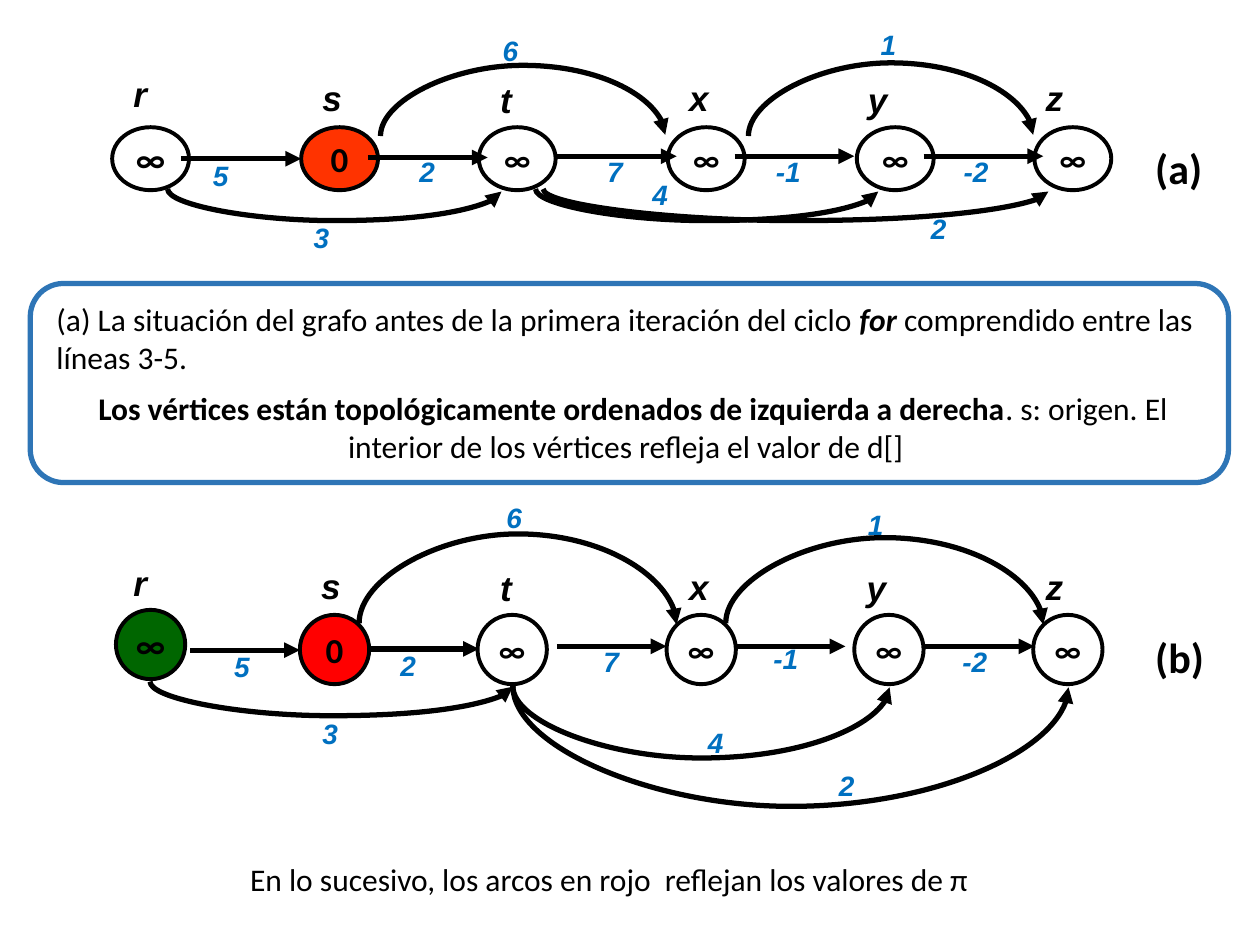
from pptx import Presentation
from pptx.dml.color import RGBColor
from pptx.enum.shapes import MSO_CONNECTOR, MSO_SHAPE
from pptx.enum.text import MSO_ANCHOR, PP_ALIGN
from pptx.oxml.ns import qn
from pptx.oxml.xmlchemy import OxmlElement
from pptx.util import Pt

LINE, CURVE = MSO_CONNECTOR.STRAIGHT, MSO_CONNECTOR.CURVE
OVAL, ROUND = MSO_SHAPE.OVAL, MSO_SHAPE.ROUNDED_RECTANGLE
MIDDLE = MSO_ANCHOR.MIDDLE
LEFT, CENTER = PP_ALIGN.LEFT, PP_ALIGN.CENTER

PX = 9144  # 100 px to the inch
THEME = {
    "ink": RGBColor(0, 0, 0),
    "cost": RGBColor(0x00, 0x70, 0xC0),
    "frame": RGBColor(0x2E, 0x75, 0xB6),
    "green": RGBColor(0x00, 0x66, 0x00),
    "orange": RGBColor(0xFF, 0x33, 0x00),
    "red": RGBColor(0xFF, 0, 0),
    "body": ("Calibri", 18),
    "node": ("Calibri", 20),
    "tag": ("Calibri", 24),
    "name": ("Arial", 20),
    "weight": ("Arial", 16),
}

deck = Presentation()
deck.slide_width, deck.slide_height = 1000 * PX, 750 * PX
slide = deck.slides.add_slide(deck.slide_layouts[6])
shapes = slide.shapes


def write(frame, runs, kind, color="ink", align=LEFT):
    """Fill the first paragraph with (text, style) runs; style holds b and/or i."""
    para = frame.paragraphs[0]
    para.alignment = align
    for text, style in runs:
        run = para.add_run()
        run.text = text
        font = run.font
        font.name, size = THEME[kind]
        font.size = Pt(size)
        font.color.rgb = THEME[color]
        font.bold, font.italic = "b" in style, "i" in style


def arrow(kind, x1, y1, x2, y2):
    link = shapes.add_connector(kind, *(int(n * PX) for n in (x1, y1, x2, y2)))
    link.line.color.rgb = THEME["ink"]
    link.line.width = Pt(3)
    tail = OxmlElement("a:tailEnd")
    tail.set("type", "triangle")
    link.line._get_or_add_ln().append(tail)
    link._element.spPr.append(OxmlElement("a:effectLst"))
    return link


# Frame and body texts
frame = shapes.add_shape(ROUND, 24 * PX, 225 * PX, 951 * PX, 158 * PX)
frame.shadow.inherit = False
frame.fill.background()
frame.line.color.rgb = THEME["frame"]
frame.line.width = Pt(3)

notes = [
    (35, 233, 956, LEFT, [
        ("(a) La situación del grafo antes de la primera iteración del ciclo ", ""),
        ("for", "bi"),
        (" comprendido entre las líneas 3-5.", "")]),
    (24, 304, 951, CENTER, [
        (" ", ""),
        ("Los vértices están topológicamente ordenados de izquierda a derecha", "b"),
        (". s: origen. El interior de los vértices refleja el valor de d[] ", "")]),
    (25, 678, 917, CENTER, [
        ("En lo sucesivo, los arcos en rojo  reflejan los valores de π", "")]),
]
for x, y, wide, align, runs in notes:
    box = shapes.add_textbox(x * PX, y * PX, wide * PX, 71 * PX)
    box.text_frame.word_wrap = True
    write(box.text_frame, runs, "body", align=align)

# Each graph: nodes (x, y), names (x, y), straight arrows (x, y),
# arcs (x1, y1, x2, y2, depth; up is negative), weights (text, x, y)
graphs = [
    {
        "tag": ("(a)", 907, 108), "size": (61, 50), "reach": 95,
        "fills": [None, "orange"],
        "nodes": [(89, 101), (239, 101), (380, 101),
                  (530, 101), (680, 101), (821, 101)],
        "names": [(96, 53), (246, 56), (387, 57),
                  (537, 56), (679, 57), (820, 56)],
        "steps": [(144, 126), (292, 125), (442, 124), (583, 124), (733, 124)],
        "arcs": [(302, 108, 528, 107, -57), (594, 108, 820, 107, -59),
                 (133, 150, 398, 152, 25), (425, 150, 697, 152, 25),
                 (431, 150, 832, 152, 25)],
        "weights": [("5", 159, 121), ("2", 323, 118), ("7", 472, 118),
                    ("-1", 606, 118), ("-2", 755, 118), ("3", 239, 170),
                    ("4", 508, 136), ("2", 729, 163), ("6", 389, 22),
                    ("1", 689, 17)],
    },
    {
        "tag": ("(b)", 907, 496), "size": (55, 55), "reach": 87,
        "fills": ["green", "red"],
        "nodes": [(92, 484), (238, 488), (379, 488),
                  (529, 488), (678, 488), (820, 488)],
        "names": [(96, 441), (245, 443), (387, 445),
                  (537, 444), (678, 445), (820, 444)],
        "steps": [(151, 516), (293, 515), (442, 513), (584, 513), (734, 513)],
        "arcs": [(285, 495, 537, 495, -72), (576, 495, 828, 495, -69),
                 (119, 541, 407, 545, 27), (407, 545, 706, 545, 58),
                 (407, 545, 848, 545, 97)],
        "weights": [("5", 176, 511), ("2", 308, 510), ("7", 469, 507),
                    ("-1", 604, 504), ("-2", 754, 507), ("3", 246, 564),
                    ("4", 552, 571), ("2", 656, 605), ("6", 392, 392),
                    ("1", 679, 398)],
    },
]

for graph in graphs:
    wide, high = graph["size"]
    for i, (x, y) in enumerate(graph["nodes"]):
        node = shapes.add_shape(OVAL, x * PX, y * PX, wide * PX, high * PX)
        node.shadow.inherit = False
        fill = graph["fills"][i] if i < 2 else None
        if fill:
            node.fill.solid()
            node.fill.fore_color.rgb = THEME[fill]
        else:
            node.fill.background()
        node.line.color.rgb = THEME["ink"]
        node.line.width = Pt(2.25)
        node.text_frame.word_wrap = False
        node.text_frame.vertical_anchor = MIDDLE
        value = "0" if i == 1 else "∞"
        write(node.text_frame, [(value, "b")], "node" if i < 2 else "body",
              align=CENTER)

    for x, y in graph["steps"]:
        arrow(LINE, x, y, x + graph["reach"], y)

    # An arc is a curved connector on its side: thin box, turned a quarter
    for x1, y1, x2, y2, depth in graph["arcs"]:
        thin, span = max(abs(y2 - y1), 1), x2 - x1
        left, top = (x1 + x2 - thin) / 2, (y1 + y2 - span) / 2
        arc = arrow(CURVE, left, top, left + thin, top + span)
        xfrm = arc._element.spPr.find(qn("a:xfrm"))
        up = depth < 0
        xfrm.set("rot", "5400000" if up else "16200000")
        xfrm.set("flipV" if up else "flipH", "1")
        if y2 < y1:
            xfrm.set("flipH", "1")
            depth = -depth
        bend = OxmlElement("a:gd")
        bend.set("name", "adj1")
        bend.set("fmla", f"val {round(depth / thin * 100000)}")
        arc._element.spPr.find(".//" + qn("a:avLst")).append(bend)

    labels = [(text, x, y, 43, "name", "ink", "bi")
              for text, (x, y) in zip("rstxyz", graph["names"])]
    labels += [(*item, 37, "weight", "cost", "bi") for item in graph["weights"]]
    labels.append((*graph["tag"], 50, "tag", "ink", "b"))
    for text, x, y, tall, kind, color, style in labels:
        box = shapes.add_textbox(x * PX, y * PX, 78 * PX, tall * PX)
        box.text_frame.word_wrap = True
        write(box.text_frame, [(text, style)], kind, color)

deck.save("out.pptx")
